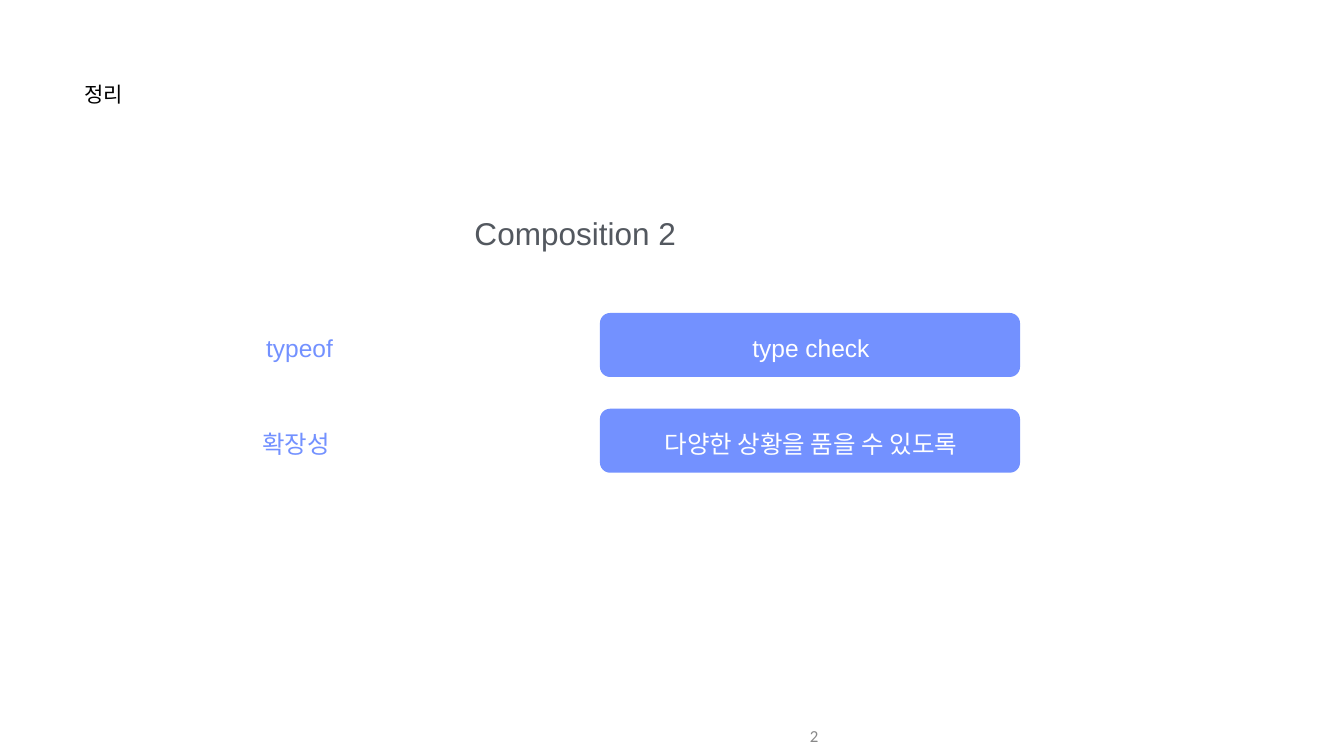
import pptx
import pptx.util
import pptx.dml.color
import pptx.enum.shapes
import pptx.enum.text
from dataclasses import dataclass

Pt = pptx.util.Pt
Align = pptx.enum.text.PP_ALIGN
Anchor = pptx.enum.text.MSO_ANCHOR


@dataclass(frozen=True)
class Theme:
    black: str = "000000"
    gray: str = "53585F"
    light_gray: str = "888888"
    blue: str = "7391FF"
    white: str = "FFFFFF"
    title_size: int = 30
    heading_size: int = 45
    label_size: int = 35
    number_size: int = 24
    font: str = "Arial"
    number_font: str = "Calibri"


theme = Theme()


def add_text(slide, text, box, size, color, align, anchor=Anchor.TOP,
             font=theme.font, insets=(0.72, 0.72)):
    shape = slide.shapes.add_textbox(*[Pt(length) for length in box])
    frame = shape.text_frame
    frame.word_wrap = True
    frame.vertical_anchor = anchor
    frame.margin_left = frame.margin_right = Pt(insets[0])
    frame.margin_top = frame.margin_bottom = Pt(insets[1])
    paragraph = frame.paragraphs[0]
    paragraph.alignment = align
    run = paragraph.add_run()
    run.text = text
    run.font.name = font
    run.font.size = Pt(size)
    run.font.color.rgb = pptx.dml.color.RGBColor.from_string(color)


presentation = pptx.Presentation()
presentation.slide_width = Pt(1919.52)
presentation.slide_height = Pt(1080)
slide = presentation.slides.add_slide(presentation.slide_layouts[6])

# Title, heading and slide number
add_text(slide, "정리", (120.24, 115.2, 350, 85),
         theme.title_size, theme.black, Align.LEFT)
add_text(slide, "Composition 2", (190, 305.28, 1263, 57),
         theme.heading_size, theme.gray, Align.CENTER)
add_text(slide, "2", (743.76, 1023.12, 432, 57), theme.number_size,
         theme.light_gray, Align.RIGHT, Anchor.MIDDLE, theme.number_font, (7.2, 3.6))

# Rows: a term on the left, its meaning in a rounded bar on the right
rows = [(" typeof", "type check"), ("확장성", "다양한 상황을 품을 수 있도록")]
first_top, row_step = 447.12, 136.8
bar_left, bar_width, bar_height = 856.8, 600, 91.44
label_height = 44.64

for index, (term, meaning) in enumerate(rows):
    top = first_top + index * row_step
    bar = slide.shapes.add_shape(
        pptx.enum.shapes.MSO_SHAPE.ROUNDED_RECTANGLE,
        Pt(bar_left), Pt(top), Pt(bar_width), Pt(bar_height))
    bar.adjustments[0] = 0.16
    bar.shadow.inherit = False
    bar.fill.solid()
    bar.fill.fore_color.rgb = pptx.dml.color.RGBColor.from_string(theme.blue)
    bar.line.fill.background()

    label_top = top + 27.36
    add_text(slide, term, (198, label_top, 450, label_height),
             theme.label_size, theme.blue, Align.CENTER, Anchor.MIDDLE)
    add_text(slide, meaning, (bar_left + 1.44, label_top, bar_width, label_height),
             theme.label_size, theme.white, Align.CENTER, Anchor.MIDDLE)

presentation.save("out.pptx")
